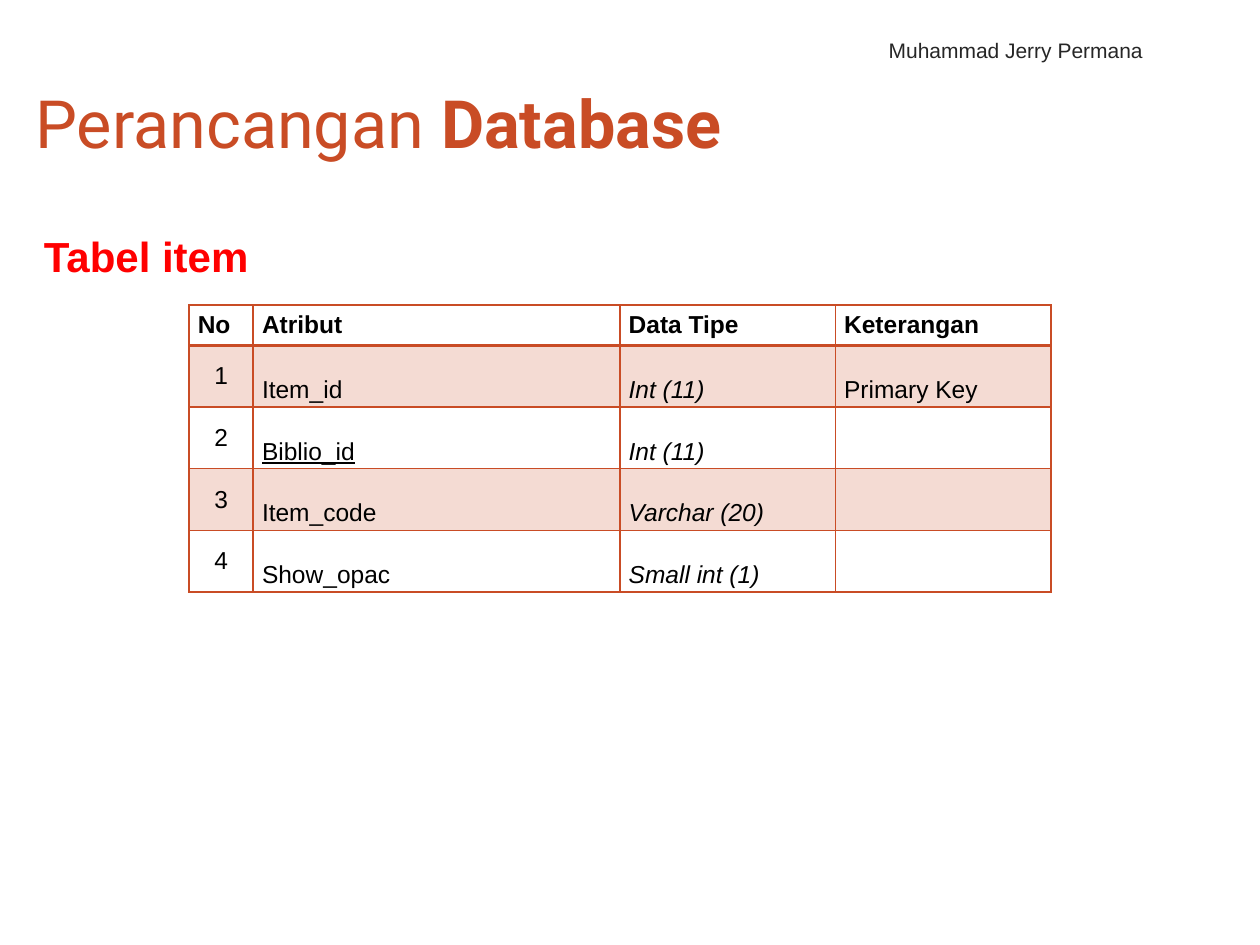
"""Build the database design slide with the attribute table of item."""
from pptx import Presentation
from pptx.dml.color import RGBColor
from pptx.enum.text import MSO_ANCHOR, MSO_AUTO_SIZE, PP_ALIGN
from pptx.oxml.ns import qn
from pptx.util import Inches, Pt
from lxml import etree

LEFT, CENTER, RIGHT = PP_ALIGN.LEFT, PP_ALIGN.CENTER, PP_ALIGN.RIGHT
MIDDLE, BOTTOM = MSO_ANCHOR.MIDDLE, MSO_ANCHOR.BOTTOM
NO_AUTOFIT = MSO_AUTO_SIZE.NONE
COLORS = {"accent": "C94C25", "author": "262626", "heading": "FF0000", "ink": "000000"}


def add_run(paragraph, text, size, color, font="Arial", bold=False):
    run = paragraph.add_run()
    run.text = text
    run.font.name = font
    run.font.size = Pt(size)
    run.font.bold = bold
    run.font.color.rgb = RGBColor.from_string(COLORS[color])
    return run


def add_border(cell, side, width):
    line = etree.SubElement(cell._tc.get_or_add_tcPr(), qn(f"a:ln{side}"), w=str(Pt(width)))
    fill = etree.SubElement(line, qn("a:solidFill"))
    etree.SubElement(fill, qn("a:srgbClr"), val=COLORS["accent"])


prs = Presentation()
prs.slide_width, prs.slide_height = Inches(10), Inches(7.5)
slide = prs.slides.add_slide(prs.slide_layouts[5])

title = slide.shapes.title
title.left, title.top, title.width, title.height = map(Inches, (0.08, 0.53, 6.17, 0.87))
frame = title.text_frame
frame.auto_size = NO_AUTOFIT
frame.vertical_anchor = MIDDLE
frame.margin_left = frame.margin_right = 0
heading = frame.paragraphs[0]
heading.alignment = LEFT
heading._p.get_or_add_pPr().set("marL", str(Inches(0.2)))
add_run(heading, "Perancangan ", 38, "accent", "Roboto")
add_run(heading, "Database", 38, "accent", "Roboto", True)

LABELS = [
    ("Muhammad Jerry Permana", (6.25, 0.19, 2.92, 0.36), 12, "author", False, RIGHT, BOTTOM, 1),
    ("Tabel item", (0.25, 1.58, 8.92, 0.63), 24, "heading", True, LEFT, None, 1.5),
]
for text, place, size, color, bold, align, anchor, spacing in LABELS:
    label = slide.shapes.add_textbox(*map(Inches, place)).text_frame
    label.word_wrap = True
    label.vertical_anchor = anchor
    line = label.paragraphs[0]
    line.alignment = align
    line.line_spacing = spacing
    add_run(line, text, size, color, bold=bold)

ATTRIBUTES = [
    ("No", "Atribut", "Data Tipe", "Keterangan"),
    ("1", "Item_id", "Int (11)", "Primary Key"),
    ("2", "Biblio_id", "Int (11)", ""),
    ("3", "Item_code", "Varchar (20)", ""),
    ("4", "Show_opac", "Small int (1)", ""),
]
COLUMNS = (0.51, 2.91, 1.71, 1.71)
ROWS = (0.32,) + (0.49,) * 4
table = slide.shapes.add_table(
    len(ROWS), len(COLUMNS), Inches(1.5), Inches(2.42), Inches(sum(COLUMNS)), Inches(sum(ROWS))
).table
table.horz_banding = False
for column, width in zip(table.columns, COLUMNS):
    column.width = Inches(width)

for r, values in enumerate(ATTRIBUTES):
    table.rows[r].height = Inches(ROWS[r])
    for c, value in enumerate(values):
        cell = table.cell(r, c)
        is_header = r == 0
        is_data = not is_header and c > 0
        cell.vertical_anchor = MIDDLE
        cell.margin_left = cell.margin_right = Inches(0.07)
        cell.margin_top = cell.margin_bottom = Inches(0 if is_data else 0.03)
        for side in "LRTB":
            heavy = (r, side) in ((0, "B"), (1, "T"))
            add_border(cell, side, 2 if heavy else 1)
        if r % 2:
            cell.fill.solid()
            cell.fill.fore_color.rgb = RGBColor.from_string(COLORS["accent"])
            tint = cell._tc.tcPr.find(qn("a:solidFill")).find(qn("a:srgbClr"))
            etree.SubElement(tint, qn("a:alpha"), val="20000")
        else:
            cell.fill.background()
        if value:
            entry = cell.text_frame.paragraphs[0]
            entry.alignment = CENTER if c == 0 and not is_header else LEFT
            if is_data:
                entry.line_spacing = 2.0
            run = add_run(entry, value, 14, "ink", bold=is_header)
            run.font.italic = is_data and c == 2
            run.font.underline = value == "Biblio_id"

prs.save("out.pptx")
